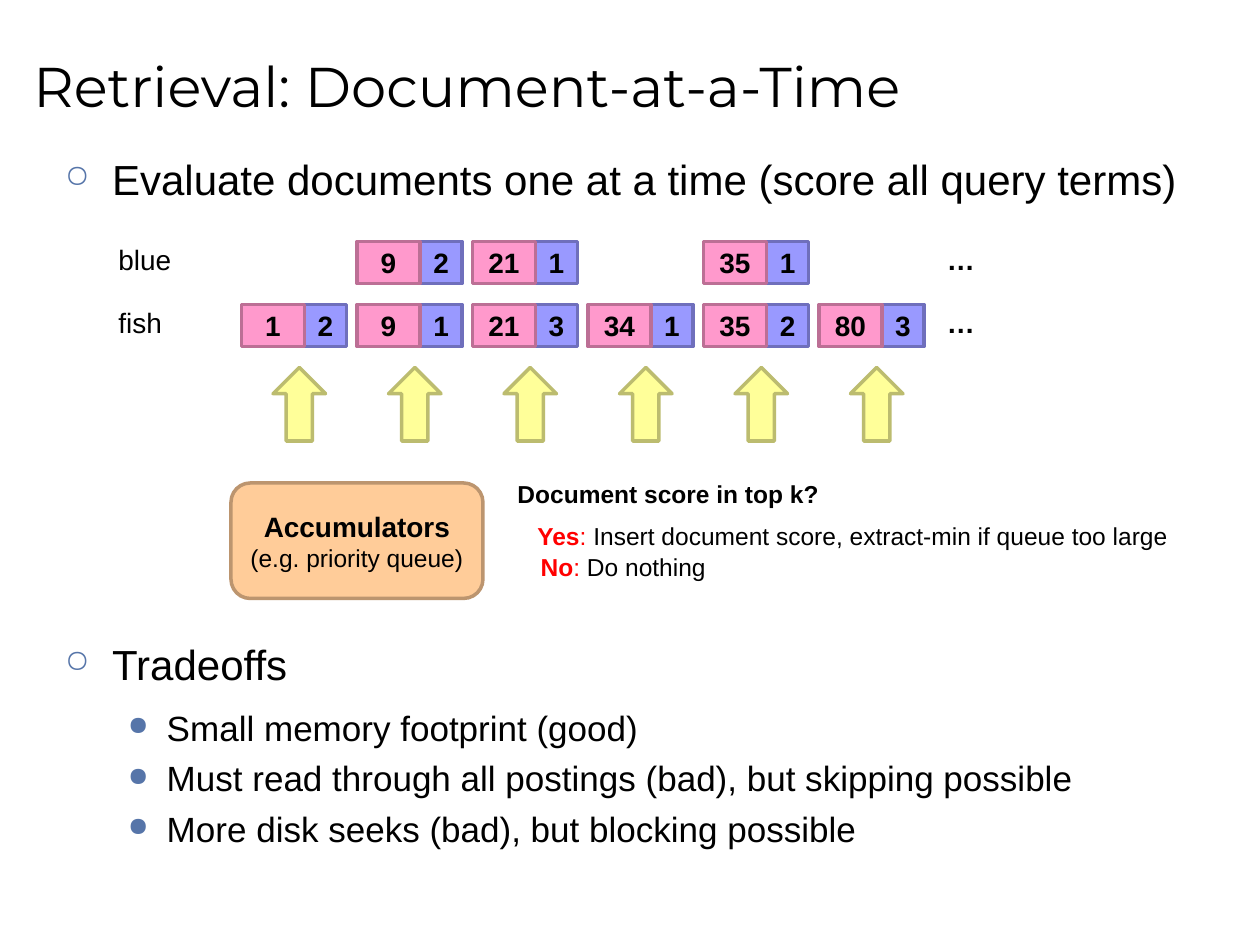
from dataclasses import dataclass

from lxml import etree
from pptx import Presentation
from pptx.dml.color import RGBColor
from pptx.enum import shapes, text
from pptx.oxml import ns
from pptx.util import Emu, Pt

PX = 7620  # 120 px to the inch
BLACK, RED = "000000", "FF0000"
COLUMN_LEFT, COLUMN_PITCH = 230, 110
ID_W, COUNT_W, CELL_H = 60, 40, 40


@dataclass
class Style:
    fill: str
    line: str


@dataclass
class Run:
    text: str
    size: int = 16
    bold: bool = False
    color: str = BLACK
    font: str = "Arial"


@dataclass
class Bullet:
    text: str
    level: int = 0


@dataclass
class TermRow:
    term: str
    label_w: int
    top: int
    postings: dict[int, tuple[int, int]]  # column: (document, count)


DOCUMENT = Style("FF99CC", "BC6F95")
COUNT = Style("9999FF", "6F6FBC")
ARROW = Style("FFFF99", "BCBC6F")
QUEUE = Style("FFCC99", "BC956F")


def px(*values: int) -> list[Emu]:
    return [Emu(v * PX) for v in values]


def rgb(value: str) -> RGBColor:
    return RGBColor.from_string(value)


def write(p, runs: list[Run]) -> None:
    for run in runs:
        r = p.add_run()
        r.text = run.text
        r.font.size, r.font.bold, r.font.name = Pt(run.size), run.bold, run.font
        r.font.color.rgb = rgb(run.color)


def add_text(parent, box: tuple[int, ...], runs: list[Run], wrap: bool = False):
    tf = parent.add_textbox(*px(*box)).text_frame
    tf.word_wrap = wrap
    if not wrap:
        tf.auto_size = text.MSO_AUTO_SIZE.SHAPE_TO_FIT_TEXT
    write(tf.paragraphs[0], runs)
    return tf


def add_block(parent, kind, box: tuple[int, ...], style: Style, lines: list[Run]):
    sp = parent.add_shape(kind, *px(*box))
    sp.shadow.inherit = False
    sp.fill.solid()
    sp.fill.fore_color.rgb = rgb(style.fill)
    sp.line.color.rgb = rgb(style.line)
    sp.line.width = Pt(2)
    tf = sp.text_frame
    tf.word_wrap = True
    tf.vertical_anchor = text.MSO_ANCHOR.MIDDLE
    for i, line in enumerate(lines):
        p = tf.add_paragraph() if i else tf.paragraphs[0]
        p.alignment = text.PP_ALIGN.CENTER
        write(p, [line])
    return sp


def add_bullets(parent, box: tuple[int, ...], bullets: list[Bullet]) -> None:
    tf = parent.add_textbox(*px(*box)).text_frame
    tf.word_wrap = True
    for i, bullet in enumerate(bullets):
        p = tf.add_paragraph() if i else tf.paragraphs[0]
        sub = bullet.level > 0
        size, gap, mark = (20, 2.5, "●") if sub else (24, 7.5, "○")
        margin, hang = (97, 37) if sub else (45, 45)
        p.level = bullet.level
        pPr = p._p.get_or_add_pPr()
        pPr.set("marL", str(margin * PX))
        pPr.set("indent", str(-hang * PX))
        color = etree.SubElement(pPr, ns.qn("a:buClr"))
        etree.SubElement(color, ns.qn("a:srgbClr"), val="5675A9")
        etree.SubElement(pPr, ns.qn("a:buSzPct"), val="75000")
        etree.SubElement(pPr, ns.qn("a:buChar"), char=mark)
        if i:
            p.space_before = Pt(gap)
        p.space_after = Pt(gap)
        write(p, [Run(bullet.text, size)])


def add_term_row(parent, row: TermRow) -> None:
    add_text(parent, (101, row.top - 5, row.label_w, 44), [Run(row.term)])
    group = parent.add_group_shape().shapes
    rect = shapes.MSO_SHAPE.RECTANGLE
    # Counts lie behind the document numbers
    for offset, width, style, part in ((ID_W, COUNT_W, COUNT, 1), (0, ID_W, DOCUMENT, 0)):
        for column, posting in row.postings.items():
            left = COLUMN_LEFT + column * COLUMN_PITCH + offset
            add_block(group, rect, (left, row.top, width, CELL_H), style,
                      [Run(str(posting[part]), bold=True)])
    add_text(group, (890, row.top - 5, 50, 44), [Run("…", bold=True)])


def main() -> None:
    prs = Presentation()
    prs.slide_width, prs.slide_height = px(1200, 900)
    canvas = prs.slides.add_slide(prs.slide_layouts[6]).shapes

    # Title
    title = add_text(canvas, (20, 14, 1140, 134),
                     [Run("Retrieval: Document-at-a-Time", 32, font="Montserrat")], wrap=True)
    title.vertical_anchor = text.MSO_ANCHOR.MIDDLE

    # Bulleted text above and below the diagram
    add_bullets(canvas, (50, 140, 1110, 70),
                [Bullet("Evaluate documents one at a time (score all query terms)")])
    add_bullets(canvas, (50, 602, 1110, 208), [
        Bullet("Tradeoffs"),
        Bullet("Small memory footprint (good)", 1),
        Bullet("Must read through all postings (bad), but skipping possible", 1),
        Bullet("More disk seeks (bad), but blocking possible", 1),
    ])

    # Postings lists, aligned by document
    fish = [(1, 2), (9, 1), (21, 3), (34, 1), (35, 2), (80, 3)]
    add_term_row(canvas, TermRow("fish", 65, 290, dict(enumerate(fish))))
    add_term_row(canvas, TermRow("blue", 74, 230, {1: (9, 2), 2: (21, 1), 4: (35, 1)}))

    # One upward arrow per document
    for column in range(len(fish)):
        arrow = add_block(canvas, shapes.MSO_SHAPE.DOWN_ARROW,
                          (COLUMN_LEFT + 30 + column * COLUMN_PITCH, 350, 50, 70), ARROW, [])
        arrow.rotation = 180

    # Accumulators and the scoring rule
    add_block(canvas, shapes.MSO_SHAPE.ROUNDED_RECTANGLE, (220, 460, 240, 110), QUEUE,
              [Run("Accumulators", bold=True), Run("(e.g. priority queue)", 14)])
    add_text(canvas, (481, 450, 311, 40), [Run("Document score in top k?", 14, True)])
    for box, answer, action in (
        ((500, 490, 626, 40), "Yes", "Insert document score, extract-min if queue too large"),
        ((503, 520, 181, 40), "No", "Do nothing"),
    ):
        add_text(canvas, box, [Run(answer, 14, True, RED), Run(": ", 14, color=RED),
                               Run(action, 14)])

    prs.save("out.pptx")


if __name__ == "__main__":
    main()
